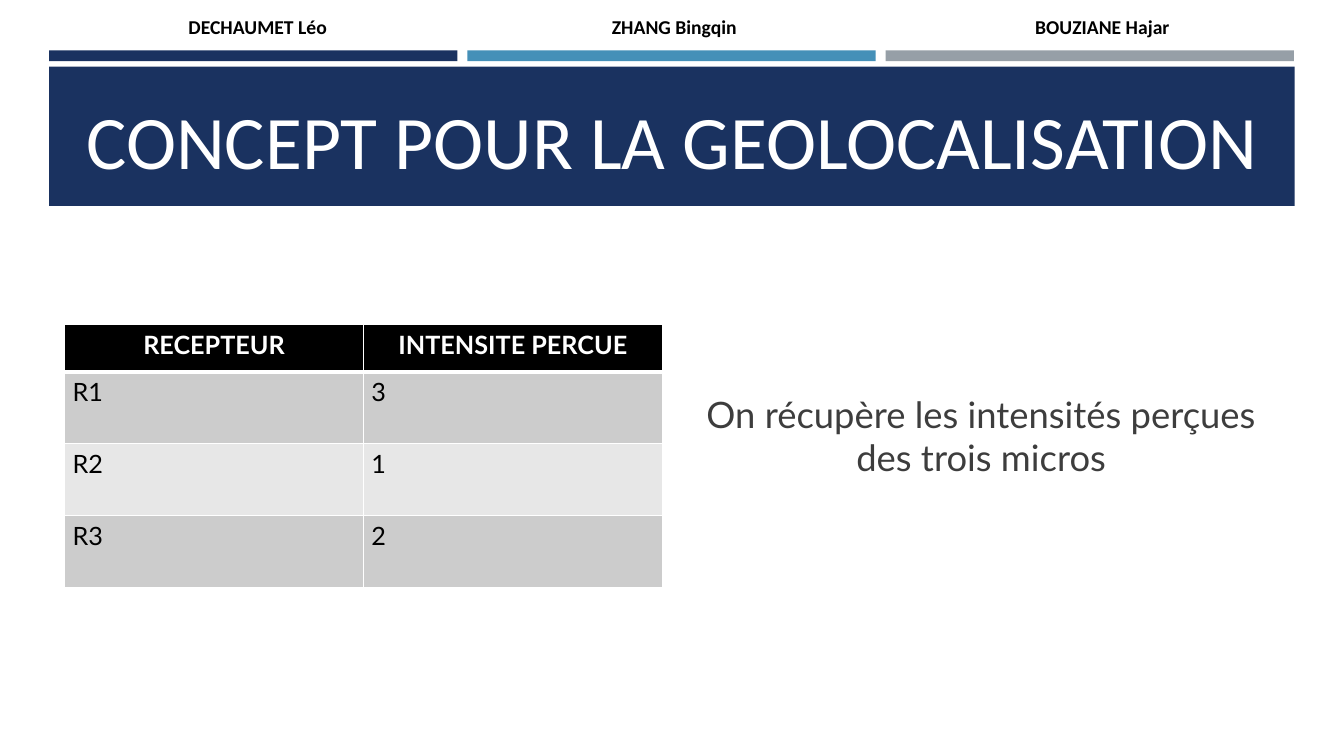
from lxml import etree
from pptx import Presentation
from pptx.dml.color import RGBColor
from pptx.enum.shapes import MSO_SHAPE
from pptx.enum.text import MSO_ANCHOR, MSO_AUTO_SIZE, PP_ALIGN
from pptx.oxml.ns import qn
from pptx.util import Cm, Pt

RECT = MSO_SHAPE.RECTANGLE
TOP, MIDDLE, BOTTOM = MSO_ANCHOR.TOP, MSO_ANCHOR.MIDDLE, MSO_ANCHOR.BOTTOM
FIXED = MSO_AUTO_SIZE.NONE
LEFT, CENTER = PP_ALIGN.LEFT, PP_ALIGN.CENTER

NAVY = RGBColor(0x1A, 0x32, 0x60)
BLUE = RGBColor(0x45, 0x90, 0xB8)
GREY = RGBColor(0x96, 0x9F, 0xA7)
WHITE = RGBColor(0xFF, 0xFF, 0xFF)
BLACK = RGBColor(0x00, 0x00, 0x00)
DARK = RGBColor(0x3D, 0x3D, 0x3D)
MID = RGBColor(0xCC, 0xCC, 0xCC)
PALE = RGBColor(0xE7, 0xE7, 0xE7)


class Deck:
    """Holds the fonts and the current slide."""
    head_font = "Calibri"
    text_font = "Lato"

    def __init__(self):
        self.prs = Presentation()
        self.prs.slide_width, self.prs.slide_height = Cm(33.87), Cm(19.05)
        self.slide = self.prs.slides.add_slide(self.prs.slide_layouts[1])

    def add_text(self, frame, text, font, size, color, bold=False, align=LEFT):
        para = frame.paragraphs[0]
        para.alignment = align
        run = para.add_run()
        run.text = text
        run.font.name, run.font.size = font, Pt(size)
        run.font.color.rgb, run.font.bold = color, bold
        return para

    def bar(self, x, y, w, h, color):
        shape = self.slide.shapes.add_shape(RECT, Cm(x), Cm(y), Cm(w), Cm(h))
        shape.shadow.inherit = False
        shape.fill.solid()
        shape.fill.fore_color.rgb = color
        shape.line.fill.background()

    def place(self, holder, x, y, w, h, anchor):
        """Move a placeholder to its box and to the front."""
        holder.left, holder.top, holder.width, holder.height = map(Cm, (x, y, w, h))
        holder.element.getparent().append(holder.element)
        frame = holder.text_frame
        frame.word_wrap, frame.auto_size = True, FIXED
        frame.vertical_anchor = anchor
        return frame

    def title(self, text, *box):
        frame = self.place(self.slide.shapes.title, *box, BOTTOM)
        self.add_text(frame, text, self.head_font, 54, WHITE, align=CENTER)

    def body(self, text, *box):
        frame = self.place(self.slide.placeholders[1], *box, MIDDLE)
        para = self.add_text(frame, text, self.text_font, 26, DARK, align=CENTER)
        para.space_after = Pt(6)
        props = para._p.get_or_add_pPr()
        props.set("marL", "0")
        props.set("indent", "0")
        etree.SubElement(props, qn("a:buNone"))

    def label(self, text, x, y, w, h):
        box = self.slide.shapes.add_textbox(Cm(x), Cm(y), Cm(w), Cm(h))
        box.text_frame.word_wrap = True
        self.add_text(box.text_frame, text, self.head_font, 14, BLACK, bold=True)

    def edge(self, cell, side, width):
        props = cell._tc.get_or_add_tcPr()
        line = etree.Element(qn("a:" + side), w=str(Pt(width)))
        fill = etree.SubElement(line, qn("a:solidFill"))
        etree.SubElement(fill, qn("a:srgbClr"), val=str(WHITE))
        # Borders must come before the cell fill.
        props.insert(len(props) - 1, line)

    def cell(self, cell, text, row):
        head = row == 0
        cell.margin_left = cell.margin_right = Cm(0.2)
        cell.margin_top = cell.margin_bottom = Cm(0.13)
        cell.vertical_anchor = TOP
        cell.fill.solid()
        cell.fill.fore_color.rgb = BLACK if head else MID if row % 2 else PALE
        self.add_text(cell.text_frame, text, self.text_font, 18,
                      WHITE if head else BLACK, head, CENTER if head else LEFT)
        widths = {"lnL": 1, "lnR": 1, "lnT": 3 if row == 1 else 1,
                  "lnB": 3 if head else 1}
        for side, width in widths.items():
            self.edge(cell, side, width)

    def table(self, rows, x, y, wide, highs):
        cols = len(rows[0])
        frame = self.slide.shapes.add_table(
            len(rows), cols, Cm(x), Cm(y), Cm(wide * cols), Cm(sum(highs)))
        grid = frame.table
        for col in grid.columns:
            col.width = Cm(wide)
        for r, (row, high) in enumerate(zip(rows, highs)):
            grid.rows[r].height = Cm(high)
            for c, text in enumerate(row):
                self.cell(grid.cell(r, c), text, r)


def main():
    deck = Deck()
    names = ("DECHAUMET Léo", "ZHANG Bingqin", "BOUZIANE Hajar")
    for i, (name, color) in enumerate(zip(names, (NAVY, BLUE, GREY))):
        deck.bar(1.24 + 10.54 * i, 1.27, 10.29, 0.27, color)
        deck.label(name, 4.5 + 10.67 * i, 0.25, 5.49, 0.86)
    deck.bar(1.24, 1.68, 31.39, 3.51, NAVY)
    deck.title("CONCEPT POUR LA GEOLOCALISATION", 1.63, 2.03, 30.63, 2.74)
    rows = [("RECEPTEUR", "INTENSITE PERCUE"),
            ("R1", "3"), ("R2", "1"), ("R3", "2")]
    deck.table(rows, 1.63, 8.18, 7.53, (1.19, 1.81, 1.81, 1.81))
    deck.body("On récupère les intensités perçues des trois micros",
              17.2, 7.67, 15.06, 6.6)
    deck.prs.save("out.pptx")


if __name__ == "__main__":
    main()
